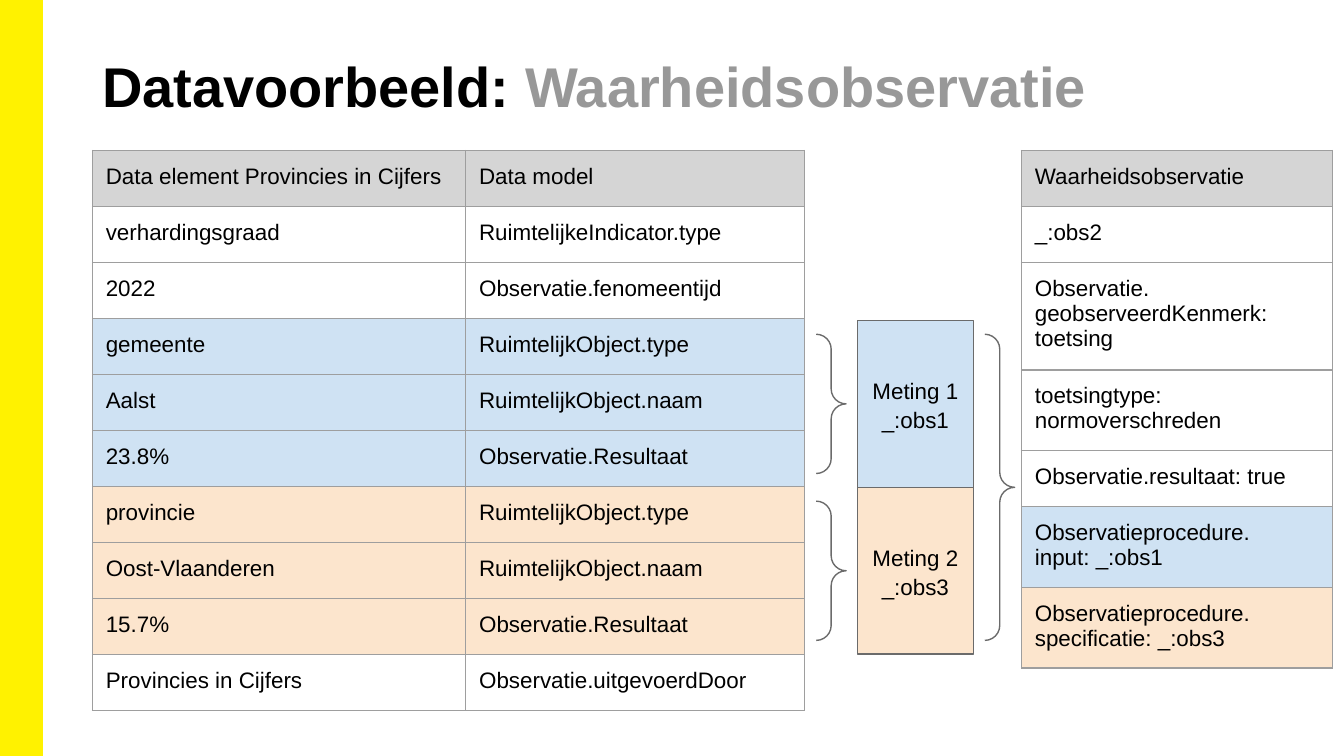
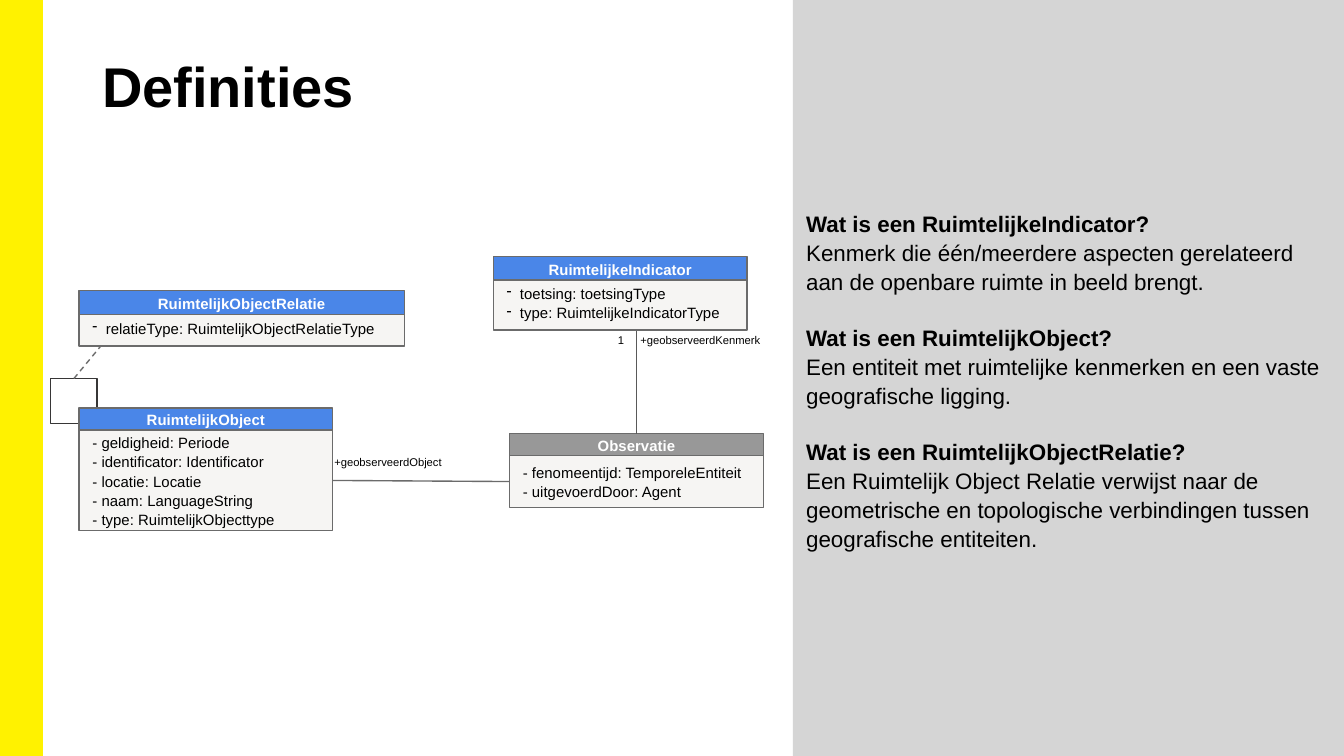
"""Builds two slides: a truth observation data example and its class definitions."""
from dataclasses import dataclass

from lxml.etree import SubElement
from pptx import Presentation
from pptx.dml.color import RGBColor as Rgb
from pptx.enum.dml import MSO_LINE as Dash
from pptx.enum.shapes import MSO_CONNECTOR as Connector, MSO_SHAPE as Shape
from pptx.enum.text import MSO_ANCHOR as Anchor, PP_ALIGN as Align
from pptx.oxml.ns import qn
from pptx.util import Pt


@dataclass(frozen=True)
class Theme:
    font: str = "Arial"
    black: str = "000000"
    white: str = "FFFFFF"
    yellow: str = "FFF200"
    muted: str = "989898"
    panel: str = "D5D5D5"
    blue: str = "CFE2F3"
    orange: str = "FCE5CD"
    header: str = "4A86E8"
    body: str = "F6F5F3"
    outline: str = "6B6B6B"
    link: str = "595959"
    loop: str = "373636"
    grid: str = "9E9E9E"
    title_size: float = 30
    text_size: float = 12
    class_size: float = 8
    label_size: float = 6
    hairline: float = 0.75
    leading: float = 1.08
    inset: float = 7.2


THEME = Theme()

ELEMENT_ROWS = [
    (THEME.panel, "Data element Provincies in Cijfers", "Data model"),
    (None, "verhardingsgraad", "RuimtelijkeIndicator.type"),
    (None, "2022", "Observatie.fenomeentijd"),
    (THEME.blue, "gemeente", "RuimtelijkObject.type"),
    (THEME.blue, "Aalst", "RuimtelijkObject.naam"),
    (THEME.blue, "23.8%", "Observatie.Resultaat"),
    (THEME.orange, "provincie", "RuimtelijkObject.type"),
    (THEME.orange, "Oost-Vlaanderen", "RuimtelijkObject.naam"),
    (THEME.orange, "15.7%", "Observatie.Resultaat"),
    (None, "Provincies in Cijfers", "Observatie.uitgevoerdDoor"),
]

OBSERVATION_ROWS = [
    (THEME.panel, "Waarheidsobservatie"),
    (None, "_:obs2"),
    (None, "Observatie.\vgeobserveerdKenmerk: toetsing"),
    (None, "toetsingtype: normoverschreden"),
    (None, "Observatie.resultaat: true"),
    (THEME.blue, "Observatieprocedure.\ninput: _:obs1"),
    (THEME.orange, "Observatieprocedure.\nspecificatie: _:obs3"),
]

MEASUREMENTS = [
    (THEME.blue, "Meting 1\n_:obs1"),
    (THEME.orange, "Meting 2\n_:obs3"),
]

DEFINITIONS = [
    ("Wat is een RuimtelijkeIndicator?",
     "Kenmerk die één/meerdere aspecten gerelateerd aan de openbare ruimte in beeld brengt."),
    ("Wat is een RuimtelijkObject?",
     "Een entiteit met ruimtelijke kenmerken en een vaste geografische ligging."),
    ("Wat is een RuimtelijkObjectRelatie?",
     "Een Ruimtelijk Object Relatie verwijst naar de geometrische en topologische "
     "verbindingen tussen geografische entiteiten."),
]


def points(*lengths):
    return [Pt(length) for length in lengths]


def set_insets(frame, across, down):
    frame.margin_left = frame.margin_right = Pt(across)
    frame.margin_top = frame.margin_bottom = Pt(down)


def add_bullet(para):
    props = para._p.get_or_add_pPr()
    props.set("marL", str(Pt(THEME.inset)))
    props.set("indent", str(-Pt(THEME.inset)))
    colour = SubElement(props, qn("a:buClr"))
    SubElement(colour, qn("a:srgbClr"), val=THEME.black)
    SubElement(props, qn("a:buChar"), char="-")


def style_para(para, size, colour=THEME.black, bold=False, align=Align.LEFT, leading=THEME.leading):
    para.alignment = align
    para.line_spacing = leading
    para.font.name = THEME.font
    para.font.size = Pt(size)
    para.font.bold = bold
    para.font.color.rgb = Rgb.from_string(colour)


def write(frame, text, size, bullets=False, **style):
    frame.word_wrap = True
    frame.text = text
    for para in frame.paragraphs:
        if bullets:
            add_bullet(para)
        style_para(para, size, **style)


def set_line(line, colour, width=THEME.hairline):
    line.color.rgb = Rgb.from_string(colour)
    line.width = Pt(width)


def add_box(shapes, frame, fill=None, outline=THEME.outline, kind=Shape.RECTANGLE):
    box = shapes.add_shape(kind, *points(*frame))
    box.shadow.inherit = False
    if fill:
        box.fill.solid()
        box.fill.fore_color.rgb = Rgb.from_string(fill)
    else:
        box.fill.background()
    if outline:
        set_line(box.line, outline)
    else:
        box.line.fill.background()
    box.text_frame.vertical_anchor = Anchor.MIDDLE
    set_insets(box.text_frame, THEME.inset, THEME.inset)
    return box


def add_brace(page, left, top, height):
    brace = add_box(page.shapes, (left, top, 16, height), kind=Shape.RIGHT_BRACE)
    brace.adjustments[0] = brace.adjustments[1] = 0.5


def add_label(page, left, top, width, text):
    frame = page.shapes.add_textbox(*points(left, top, width, 24)).text_frame
    set_insets(frame, THEME.inset, THEME.inset)
    write(frame, text, THEME.label_size)


def add_link(page, start, end, colour=THEME.outline):
    link = page.shapes.add_connector(Connector.STRAIGHT, *points(*start, *end))
    SubElement(link._element.spPr, qn("a:effectLst"))
    set_line(link.line, colour)
    return link


def add_borders(cell):
    props = cell._tc.get_or_add_tcPr()
    for side in ("a:lnL", "a:lnR", "a:lnT", "a:lnB"):
        border = SubElement(props, qn(side), w=str(Pt(THEME.hairline)))
        SubElement(SubElement(border, qn("a:solidFill")), qn("a:srgbClr"), val=THEME.grid)


def add_grid(page, left, top, widths, rows, row_height=30):
    table = page.shapes.add_table(
        len(rows), len(widths), *points(left, top, sum(widths), row_height * len(rows))).table
    table.first_row = table.horz_banding = False
    for column, width in zip(table.columns, widths):
        column.width = Pt(width)
    for row, (fill, *texts) in zip(table.rows, rows):
        row.height = Pt(row_height)
        for cell, text in zip(row.cells, texts):
            set_insets(cell, THEME.inset, THEME.inset)
            add_borders(cell)
            if fill:
                cell.fill.solid()
                cell.fill.fore_color.rgb = Rgb.from_string(fill)
            else:
                cell.fill.background()
            write(cell.text_frame, text, THEME.text_size, leading=1.0)


def add_class(page, name, attributes, left, top, width, header_height, body_top, body_height,
              header=THEME.header, bullets=False):
    shapes = page.shapes.add_group_shape().shapes
    body = add_box(shapes, (left, body_top, width, body_height), THEME.body)
    write(body.text_frame, "\n".join(attributes), THEME.class_size, bullets)
    heading = add_box(shapes, (left, top, width, header_height), header)
    write(heading.text_frame, name, THEME.class_size,
          colour=THEME.white, bold=True, align=Align.CENTER)
    return heading, body


def add_page(deck):
    page = deck.slides.add_slide(deck.slide_layouts[6])
    band = add_box(page.shapes, (0, 0, 22.5, 405), THEME.yellow, THEME.yellow)
    band.line.width = Pt(1)
    return page


def add_title(page, *spans):
    frame = page.shapes.add_textbox(*points(49.7, 21.6, 620, 43)).text_frame
    frame.word_wrap = True
    set_insets(frame, 5, 3)
    para = frame.paragraphs[0]
    style_para(para, THEME.title_size, bold=True)
    for text, colour in spans:
        span = para.add_run()
        span.text = text
        span.font.color.rgb = Rgb.from_string(colour)


def build_example(deck):
    page = add_page(deck)
    add_title(page, ("Datavoorbeeld: ", THEME.black), ("Waarheidsobservatie", THEME.muted))
    top, height, margin = 171.7, 89.4, 7.4
    add_grid(page, 49.5, 80.6, (200, 181.5), ELEMENT_ROWS)
    for index, (fill, text) in enumerate(MEASUREMENTS):
        box_top = top + index * height
        box = add_box(page.shapes, (459.4, box_top, 62, height), fill)
        write(box.text_frame, text, THEME.text_size, align=Align.CENTER)
        add_brace(page, 437.3, box_top + margin, height - 2 * margin)
    add_brace(page, 527.6, top + margin, 2 * (height - margin))
    add_grid(page, 547.2, 80.6, (166.7,), OBSERVATION_ROWS)


def add_definitions(page):
    panel = add_box(page.shapes, (424.8, 0, 295.2, 407), THEME.panel, outline=None)
    frame = panel.text_frame
    write(frame, "\n".join(line for pair in DEFINITIONS for line in pair), THEME.text_size)
    for index, question in enumerate(frame.paragraphs[::2]):
        question.font.bold = True
        if index:
            question.space_before = Pt(14.5)


def build_definitions(deck):
    page = add_page(deck)
    add_definitions(page)
    add_title(page, ("Definities", THEME.black))
    loop = add_box(page.shapes, (27.2, 202.8, 24.8, 24), outline=THEME.loop)
    observation_head, observation = add_class(
        page, "Observatie", ["- fenomeentijd: TemporeleEntiteit", "- uitgevoerdDoor: Agent"],
        273, 232.3, 136, 11.8, 244.1, 27.8, header=THEME.muted)
    _, spatial_object = add_class(
        page, "RuimtelijkObject",
        ["- geldigheid: Periode", "- identificator: Identificator", "- locatie: Locatie",
         "- naam: LanguageString", "- type: RuimtelijkObjecttype"],
        42.4, 218.6, 135.8, 11.8, 230.4, 54)
    add_label(page, 172, 239.6, 85, "+geobserveerdObject")

    feature = add_link(page, (341, 168.5), (341, 232.3), THEME.link)
    feature.end_connect(observation_head, 0)
    add_class(page, "RuimtelijkObjectRelatie", ["relatieType: RuimtelijkObjectRelatieType"],
              42.4, 155.8, 174.2, 12.6, 165.4, 20, bullets=True)
    relation = add_link(page, (39.6, 202.8), (54, 185.4))
    relation.begin_connect(loop, 0)
    relation.line.dash_style = Dash.DASH
    observed = add_link(page, (178.2, 257.4), (273, 258))
    observed.begin_connect(spatial_object, 3)
    observed.end_connect(observation, 1)
    add_class(page, "RuimtelijkeIndicator",
              ["toetsing: toetsingType", "type: RuimtelijkeIndicatorType"],
              264.3, 137.5, 136, 12.6, 147, 29.8, bullets=True)
    add_label(page, 336, 174.2, 85, "+geobserveerdKenmerk")
    add_label(page, 324, 174.2, 16, "1")


def main():
    deck = Presentation()
    deck.slide_width, deck.slide_height = points(720, 405)
    build_example(deck)
    build_definitions(deck)
    deck.save("out.pptx")


if __name__ == "__main__":
    main()
